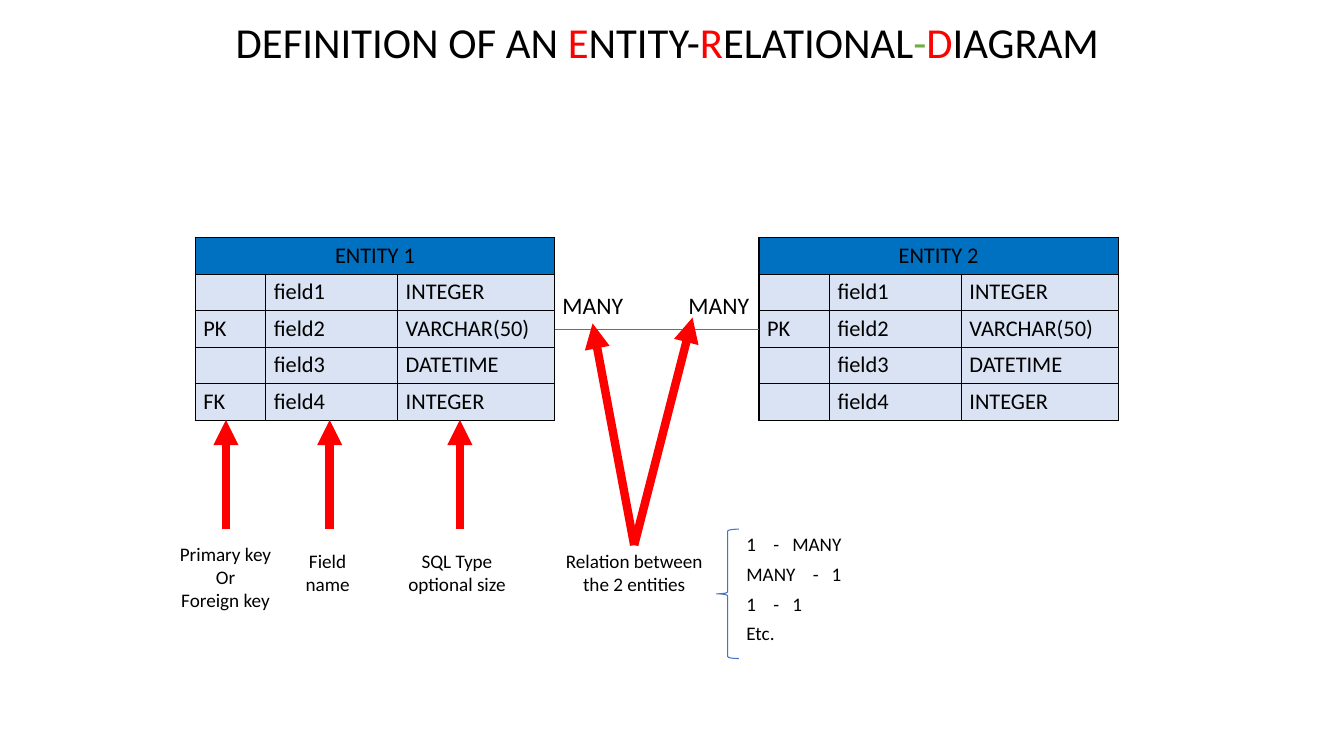
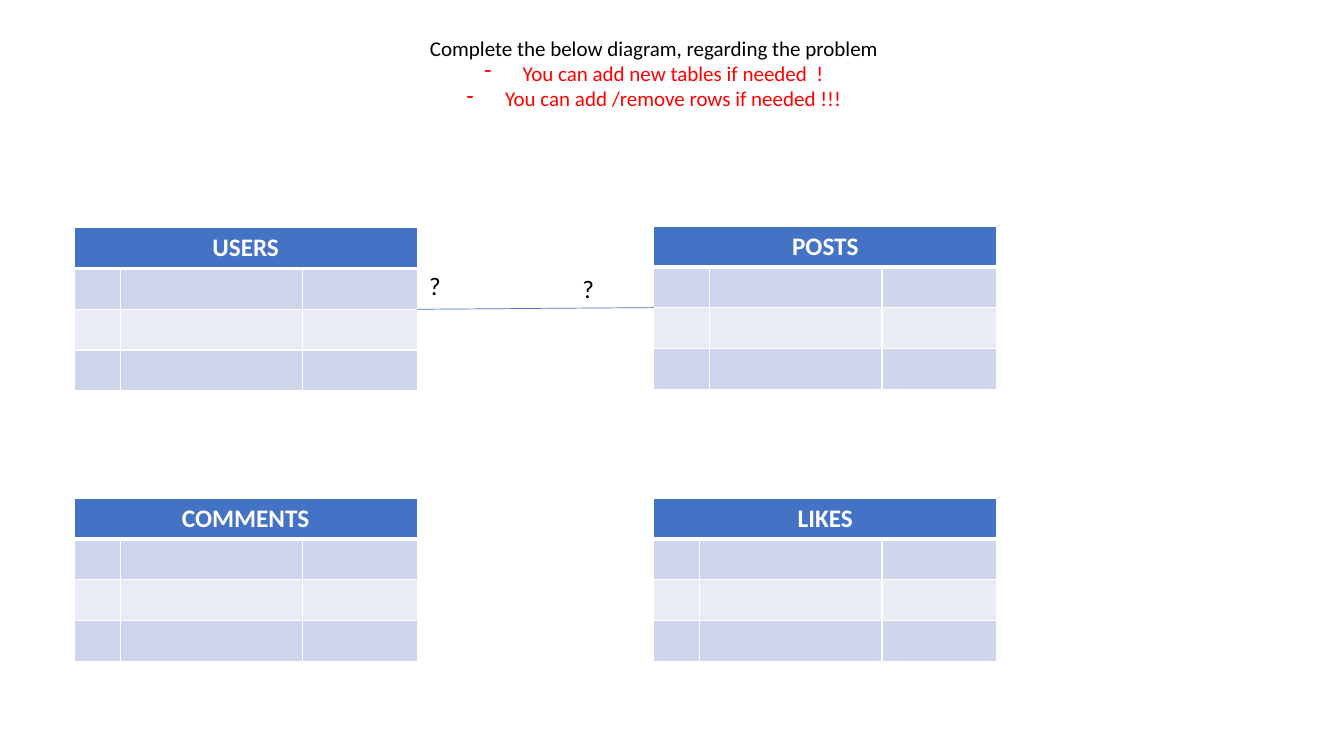
from lxml import etree
from pptx import Presentation
from pptx.dml.color import RGBColor
from pptx.enum.shapes import MSO_CONNECTOR, MSO_SHAPE
from pptx.enum.text import PP_ALIGN
from pptx.oxml.ns import qn
from pptx.util import Inches, Pt

STRAIGHT = MSO_CONNECTOR.STRAIGHT
LEFT_BRACE = MSO_SHAPE.LEFT_BRACE
LEFT, CENTER = PP_ALIGN.LEFT, PP_ALIGN.CENTER
TOP_SIDE, LEFT_SIDE, RIGHT_SIDE = 0, 1, 3

FONT = "Calibri"
COLORS = {
    "black": "000000",
    "white": "FFFFFF",
    "red": "FF0000",
    "green": "70AD47",
    "accent": "4472C4",
    "entity_head": "0070C0",
    "entity_body": "DAE3F3",
    "band_dark": "CFD5EA",
    "band_light": "E9EBF5",
}
SLIDE_WIDTH, SLIDE_HEIGHT = Inches(13.333), Inches(7.5)
GRID_COLUMNS, GRID_ROWS = 160, 90
NARROW, NORMAL = (0.08, 0.04), (0.1, 0.05)

ENTITY_LOOK = {
    "row_height": 4.35, "size": 16, "bold": False, "text_color": "black",
    "head": "entity_head", "bands": ("entity_body", "entity_body"),
    "border": "black", "head_line": 1, "inset": NARROW,
}
EXERCISE_LOOK = {
    "row_height": 4.86, "size": 18, "bold": True, "text_color": "white",
    "head": "accent", "bands": ("band_dark", "band_light"),
    "border": "white", "head_line": 3, "inset": NORMAL,
}


def across(columns):
    return round(SLIDE_WIDTH * columns / GRID_COLUMNS)


def down(rows):
    return round(SLIDE_HEIGHT * rows / GRID_ROWS)


def place(left, top, width, height):
    return across(left), down(top), across(width), down(height)


def rgb(name):
    return RGBColor.from_string(COLORS[name])


def add_node(parent, tag, **attributes):
    return etree.SubElement(parent, qn(tag), attributes)


def add_color(parent, name):
    fill = add_node(parent, "a:solidFill")
    add_node(fill, "a:srgbClr", val=COLORS[name])


def set_insets(target, inset):
    target.margin_left = target.margin_right = Inches(inset[0])
    target.margin_top = target.margin_bottom = Inches(inset[1])


def write_span(para, text, size, color, bold=False):
    span = para.add_run()
    span.text = text
    span.font.name = FONT
    span.font.size = Pt(size)
    span.font.bold = bold
    span.font.color.rgb = rgb(color)


def add_dash(para, color, indent=0.38):
    properties = para._p.get_or_add_pPr()
    properties.set("marL", str(Inches(indent)))
    properties.set("indent", str(-Inches(indent)))
    bullet_color = add_node(properties, "a:buClr")
    add_node(bullet_color, "a:srgbClr", val=COLORS[color])
    add_node(properties, "a:buChar", char="-")


def add_text(slide, paragraphs, at, *, size, align=LEFT, inset=NARROW, dashes=()):
    box = slide.shapes.add_textbox(*place(*at))
    frame = box.text_frame
    frame.word_wrap = True
    set_insets(frame, inset)
    for index, spans in enumerate(paragraphs):
        para = frame.add_paragraph() if index else frame.paragraphs[0]
        para.alignment = align
        if index in dashes:
            add_dash(para, "red")
        for text, color in spans:
            write_span(para, text, size, color)
    return box


def plain(*lines):
    return [[(line, "black")] for line in lines]


def add_borders(cell, color, top, bottom):
    properties = cell._tc.get_or_add_tcPr()
    for side, width in (("L", 1), ("R", 1), ("T", top), ("B", bottom)):
        line = add_node(properties, f"a:ln{side}", w=str(Pt(width)))
        add_color(line, color)


def add_entity(slide, name, rows, left, top, columns, look):
    height = look["row_height"] * (len(rows) + 1)
    frame = slide.shapes.add_table(
        len(rows) + 1, len(columns), *place(left, top, sum(columns), height))
    table = frame.table
    for column, width in zip(table.columns, columns):
        column.width = across(width)
    for row in table.rows:
        row.height = down(look["row_height"])
    heading = [name] + [""] * (len(columns) - 1)
    for row_index, texts in enumerate([heading, *rows]):
        is_head = row_index == 0
        for column_index, text in enumerate(texts):
            cell = table.cell(row_index, column_index)
            set_insets(cell, look["inset"])
            add_borders(cell, look["border"],
                        look["head_line"] if row_index == 1 else 1,
                        look["head_line"] if is_head else 1)
            cell.fill.solid()
            cell.fill.fore_color.rgb = rgb(
                look["head"] if is_head else look["bands"][(row_index - 1) % 2])
            para = cell.text_frame.paragraphs[0]
            para.alignment = CENTER if is_head else LEFT
            if text:
                write_span(para, text, look["size"], look["text_color"],
                           look["bold"] and is_head)
            else:
                add_node(para._p, "a:endParaRPr", sz=str(look["size"] * 100))
    table.cell(0, 0).merge(table.cell(0, len(columns) - 1))
    return frame


def add_line(slide, start=(0, 0), end=(0, 0), *, color, width, arrow=False,
             begin_at=None, end_at=None):
    line = slide.shapes.add_connector(
        STRAIGHT, across(start[0]), down(start[1]), across(end[0]), down(end[1]))
    if begin_at:
        line.begin_connect(*begin_at)
    if end_at:
        line.end_connect(*end_at)
    line.line.color.rgb = rgb(color)
    line.line.width = Pt(width)
    if arrow:
        add_node(line.line._get_or_add_ln(), "a:tailEnd", type="triangle")
    add_node(line._element.spPr, "a:effectLst")


def add_brace(slide, at):
    brace = slide.shapes.add_shape(LEFT_BRACE, *place(*at))
    brace.shadow.inherit = False
    brace.fill.background()
    brace.line.color.rgb = rgb("accent")
    brace.line.width = Pt(0.75)
    brace.adjustments[0] = 0.083


def build_definition(slide):
    title = [("DEFINITION OF AN ", "black"), ("E", "red"), ("NTITY-", "black"),
             ("R", "red"), ("ELATIONAL", "black"), ("-", "green"),
             ("D", "red"), ("IAGRAM", "black")]
    add_text(slide, [title], (27.1, 1.45, 108, 7.1), size=30.5)

    types = ("INTEGER", "VARCHAR(50)", "DATETIME", "INTEGER")
    entities = []
    for name, left, keys in (("ENTITY 1", 23.25, ("", "PK", "", "FK")),
                             ("ENTITY 2", 90.35, ("", "PK", "", ""))):
        rows = [(key, f"field{number}", kind)
                for number, (key, kind) in enumerate(zip(keys, types), 1)]
        entities.append(add_entity(slide, name, rows, left, 28.3,
                                   (8.4, 15.7, 18.7), ENTITY_LOOK))
    add_line(slide, color="accent", width=0.75,
             begin_at=(entities[0], RIGHT_SIDE), end_at=(entities[1], LEFT_SIDE))
    for left in (66, 81):
        add_text(slide, plain("MANY"), (left, 34.2, 10, 4.3), size=16.9)

    labels = (
        (("Primary key", "Or", "Foreign key"), 26.85, 64.1, 14),
        (("Field", "name"), 39, 64.9, 8),
        (("SQL Type", "optional size"), 54.4, 64.9, 15),
        (("Relation between", "the 2 entities"), 75.5, 64.9, 19),
    )
    boxes = [add_text(slide, plain(*lines),
                      (middle - width / 2, top, width, 2.9 * len(lines) + 0.6),
                      size=13.7, align=CENTER)
             for lines, middle, top, width in labels]
    arrow = {"color": "red", "width": 6, "arrow": True}
    for column in (26.9, 39.25, 54.75):
        add_line(slide, (column, 63), (column, 50), **arrow)
    for target in ((70.55, 38.5), (82.45, 37.8)):
        add_line(slide, end=target, begin_at=(boxes[-1], TOP_SIDE), **arrow)

    add_brace(slide, (85.3, 63, 2.65, 15.4))
    relations = ("1    -   MANY", "MANY    -   1", "1    -   1", "Etc.")
    for index, relation in enumerate(relations):
        add_text(slide, plain(relation), (87.9, 62.95 + 3.53 * index, 15, 3.7),
                 size=13.7)


def build_exercise(slide):
    prompt = plain("Complete the below diagram, regarding the problem") + [
        [("You can add new tables if needed  !", "red")],
        [("You can add /remove rows if needed !!!", "red")],
    ]
    add_text(slide, prompt, (49.7, 3.6, 56.3, 10.3), size=15, align=CENTER,
             inset=NORMAL, dashes=(1, 2))

    usual, wide_key = (5.5, 21.7, 13.7), (6.7, 20.5, 13.7)
    empty_rows = [("", "", "")] * 3
    users, posts, *_ = [
        add_entity(slide, name, empty_rows, left, top, columns, EXERCISE_LOOK)
        for name, left, top, columns in (
            ("USERS", 8.8, 27.1, usual),
            ("POSTS", 77.8, 26.9, wide_key),
            ("COMMENTS", 8.8, 59.3, usual),
            ("LIKES", 77.8, 59.3, usual),
        )]
    add_line(slide, color="accent", width=0.5,
             begin_at=(users, RIGHT_SIDE), end_at=(posts, LEFT_SIDE))
    for left, top in ((49.9, 31.55), (68.15, 31.9)):
        add_text(slide, plain("?"), (left, top, 4.5, 4.8), size=18, inset=NORMAL)


def main():
    deck = Presentation()
    deck.slide_width, deck.slide_height = SLIDE_WIDTH, SLIDE_HEIGHT
    blank = deck.slide_layouts[6]
    for build in (build_definition, build_exercise):
        build(deck.slides.add_slide(blank))
    deck.save("out.pptx")


if __name__ == "__main__":
    main()
